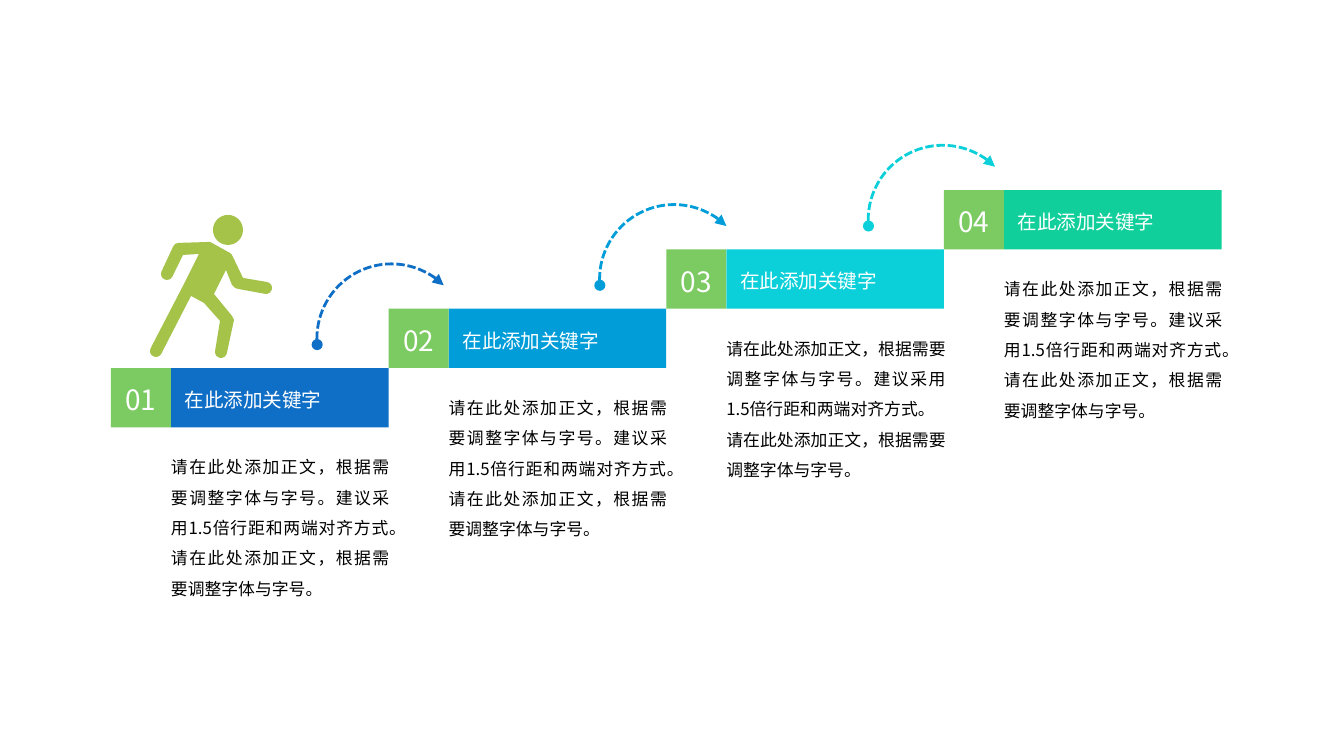
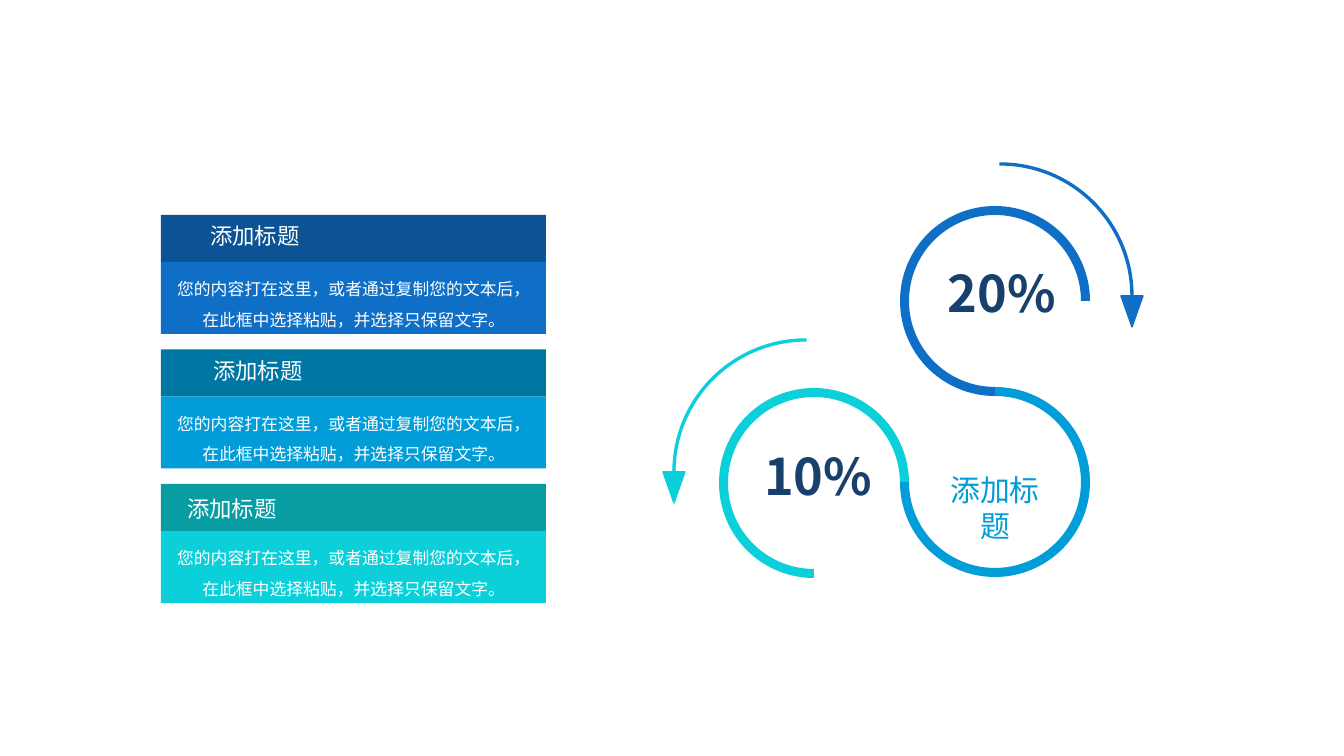
from math import cos, radians, sin, tan

from lxml import etree
from pptx import Presentation
from pptx.dml.color import RGBColor
from pptx.enum.dml import MSO_LINE
from pptx.enum.shapes import MSO_SHAPE
from pptx.enum.text import MSO_AUTO_SIZE, PP_ALIGN
from pptx.oxml.ns import qn
from pptx.util import Emu, Pt

RECT, ARC = MSO_SHAPE.RECTANGLE, MSO_SHAPE.ARC
CENTER, JUSTIFY = PP_ALIGN.CENTER, PP_ALIGN.JUSTIFY
SHORT_DASH = MSO_LINE.SQUARE_DOT
GROW = MSO_AUTO_SIZE.SHAPE_TO_FIT_TEXT

WHITE = RGBColor(0xFF, 0xFF, 0xFF)
BLACK = RGBColor(0x00, 0x00, 0x00)
BLUE = RGBColor(0x0F, 0x6F, 0xC6)
SKY = RGBColor(0x00, 0x9D, 0xD9)
CYAN = RGBColor(0x0B, 0xD0, 0xD9)
TEAL = RGBColor(0x10, 0xCF, 0x9B)
GREEN = RGBColor(0x7C, 0xCA, 0x62)
OLIVE = RGBColor(0xA5, 0xC2, 0x49)
DARK_BLUE = RGBColor(0x0B, 0x53, 0x94)
DARK_SKY = RGBColor(0x00, 0x76, 0xA3)
DARK_CYAN = RGBColor(0x08, 0x9C, 0xA3)
NAVY = RGBColor(0x17, 0x40, 0x6D)

FONT = "Noto Sans CJK SC"
PX_PER_INCH = 134.4
PAGE_W, PAGE_H = 1344, 756

STEP_TITLE = "在此添加关键字"
STEP_TEXT = [
    "请在此处添加正文，根据需要调整字体与字号。建议采用1.5倍行距和两端对齐方式。",
    "请在此处添加正文，根据需要调整字体与字号。",
]
CARD_TITLE = "添加标题"
CARD_TEXT = "您的内容打在这里，或者通过复制您的文本后，在此框中选择粘贴，并选择只保留文字。"

# Bar colour, text width, and where the hop to the next step starts
STEPS = [(BLUE, 218, 206), (SKY, 218, 211), (CYAN, 219, 202), (TEAL, 218, None)]
STEP_W, STEP_H = 833 / 3, 178 / 3  # three steps run 833 px and rise 178 px
BADGE_W = 60

# Header colour, body colour, and title offset inside the card
CARDS = [
    (DARK_BLUE, BLUE, (49, 7)),
    (DARK_SKY, SKY, (52, 8)),
    (DARK_CYAN, CYAN, (26, 11)),
]
CARD_W, HEADER_H, BODY_H, CARD_PITCH = 385, 47, 72, 134.5


def px(length):
    return Emu(round(length * 914400 / PX_PER_INCH))


def arc(cx, cy, radius, start, end, pieces):
    """A start point, then cubic curves; degrees clockwise from the right."""
    step = radians(end - start) / pieces
    pull = 4 / 3 * tan(step / 4)

    def at(angle, lean):
        return (cx + radius * (cos(angle) - lean * sin(angle)),
                cy + radius * (sin(angle) + lean * cos(angle)))

    parts = [[at(radians(start), 0)]]
    for i in range(pieces):
        a = radians(start) + i * step
        parts.append([at(a, pull), at(a + step, -pull), at(a + step, 0)])
    return parts


def corners(*points):
    return [[point] for point in points]


def paint(shape, fill, line=None):
    shape.shadow.inherit = False
    shape.fill.solid()
    shape.fill.fore_color.rgb = fill
    if line is None:
        shape.line.fill.background()
    else:
        shape.line.color.rgb = line
        shape.line.width = Pt(0.75)


def add_rect(shapes, box, fill):
    paint(shapes.add_shape(RECT, *map(px, box)), fill)


def add_outline(shapes, contours, fill, line=None, left=0, top=0):
    """Each contour is a list of parts: one point, or the three of a curve."""
    builder = None
    for parts in contours:
        points = [(px(left + x), px(top + y)) for part in parts for x, y in part]
        if builder is None:
            builder = shapes.build_freeform(*points[0], scale=1.0)
        else:
            builder.move_to(*points[0])
        builder.add_line_segments(points[1:], close=True)
    shape = builder.convert_to_shape()

    # Merge the line segments of each curve into one cubic segment
    segments = shape._element.iter(qn("a:moveTo"), qn("a:lnTo"))
    segments = iter(list(segments))
    for part in (part for parts in contours for part in parts):
        first = next(segments)
        if len(part) == 3:
            first.tag = qn("a:cubicBezTo")
            for segment in (next(segments), next(segments)):
                first.append(segment[0])
                segment.getparent().remove(segment)
    paint(shape, fill, line)


def add_text(shapes, box, lines, size, color, align=CENTER, inset=(0, 0),
             wrap=True, spacing=None, bold=False):
    frame = shapes.add_textbox(*map(px, box)).text_frame
    frame.word_wrap = wrap
    frame.auto_size = GROW
    frame.margin_left = frame.margin_right = px(inset[0])
    frame.margin_top = frame.margin_bottom = px(inset[1])
    for i, line in enumerate(lines):
        para = frame.add_paragraph() if i else frame.paragraphs[0]
        para.text = line
        para.alignment = align
        if spacing:
            para.line_spacing = spacing
        font = para.font
        font.name, font.size, font.bold = FONT, Pt(size), bold
        font.color.rgb = color
        # East Asian characters take their own typeface entry
        east_asian = etree.SubElement(para._p.pPr.find(qn("a:defRPr")), qn("a:ea"))
        east_asian.set("typeface", FONT)


# Staircase slide

def add_hop(shapes, left, top, color):
    hop = shapes.add_shape(ARC, px(left), px(top), px(149), px(149))
    # Arc angles are stored in 60000ths of a degree, adjustments in 100000ths
    hop.adjustments[0] = 175.2 * 0.6
    hop.adjustments[1] = 314.6 * 0.6
    hop.shadow.inherit = False
    hop.fill.background()
    hop.line.color.rgb = color
    hop.line.width = Pt(1.5)
    hop.line.dash_style = SHORT_DASH
    line = hop._element.spPr.find(qn("a:ln"))
    for end, kind in (("a:headEnd", "oval"), ("a:tailEnd", "triangle")):
        etree.SubElement(line, qn(end)).set("type", kind)


def add_step(page, left, top, number, color, text_w, hop_offset):
    bar_left = left + BADGE_W
    banner = page.shapes.add_group_shape().shapes
    add_rect(banner, (bar_left, top, STEP_W - BADGE_W, STEP_H), color)
    add_rect(banner, (left, top, BADGE_W, STEP_H), GREEN)
    add_text(banner, (left, top + 8, BADGE_W, 47), [f"{number:02}"], 15, WHITE,
             inset=(13, 7), wrap=False)
    add_text(banner, (left + 74, top + 13, 204, 37), [STEP_TITLE], 10.5, WHITE,
             JUSTIFY, inset=(0, 7))
    add_text(page.shapes, (bar_left, top + 72, text_w, 167), STEP_TEXT, 9, BLACK,
             JUSTIFY, inset=(0, 7), spacing=1.5)
    if hop_offset is not None:
        add_hop(page.shapes, left + hop_offset, top - 104, color)


def add_runner(page, left, top):
    def limb_end(cx, cy, start):
        return arc(cx, cy, 6, start, start + 180, 2)

    body = [
        *corners((60, 27), (80, 38), (82, 40), (93, 63)),
        *limb_end(116, 73, -80),  # front hand
        *corners((88, 74), (85, 73), (82, 70), (76, 55), (64, 79), (82, 101), (84, 105)),
        *limb_end(71, 137, 10),  # front foot
        *corners((70, 106), (54, 88), (41, 81)),
        *limb_end(6, 136, 28),  # back foot
        *corners((34, 69), (49, 39), (33, 40)),
        *limb_end(17, 59, 25),  # back hand
        *corners((23, 32), (25, 29), (28, 28)),
    ]
    head = arc(78, 15, 15, 0, 360, 4)
    add_outline(page.shapes, [body, head], OLIVE, left=left, top=top)


def build_staircase(page):
    for i, step in enumerate(STEPS):
        add_step(page, 111 + i * STEP_W, 368 - i * STEP_H, i + 1, *step)
    add_runner(page, 150, 215)


# Rings slide

def add_card(page, left, top, header_color, body_color, title_offset):
    shapes = page.shapes
    body_top = top + HEADER_H
    add_rect(shapes, (left, body_top, CARD_W, BODY_H), body_color)
    add_rect(shapes, (left, top, CARD_W, HEADER_H), header_color)
    add_text(shapes, (left, body_top + 1, CARD_W, 70), [CARD_TEXT], 9, WHITE,
             inset=(12, 6), spacing=1.5)
    add_text(shapes, (left + title_offset[0], top + title_offset[1], 90, 27),
             [CARD_TITLE], 12, WHITE, wrap=False)


def add_ring(page, cx, cy, start, color):
    """Three quarters of a ring, clockwise from the start angle."""
    end = start + 270
    band = arc(cx, cy, 95, start, end, 6) + arc(cx, cy, 86, end, start, 6)
    add_outline(page.shapes, [band], color)


def add_sweep(page, cx, cy, start, tip_side, color):
    """A quarter circle with an arrow pointing down at its left or right end."""
    shapes = page.shapes.add_group_shape().shapes
    end = start + 90
    band = arc(cx, cy, 133, start, end, 1) + arc(cx, cy, 131, end, start, 2)
    tip_x = cx + tip_side * 132
    arrow = corners((tip_x - 11, cy), (tip_x, cy + 31), (tip_x + 11, cy))
    for parts in (band, arrow):
        add_outline(shapes, [parts], color, color)


def add_percent(page, left, top, label):
    add_text(page.shapes, (left, top, 110, 60), [label], 27, NAVY,
             wrap=False, bold=True)


def build_rings(page):
    for i, card in enumerate(CARDS):
        add_card(page, 161, 215 + i * CARD_PITCH, *card)

    # Linked rings: left, lower right and upper right
    add_ring(page, 814, 483, 90, CYAN)
    add_ring(page, 995, 482, 270, SKY)
    add_ring(page, 995, 301, 90, BLUE)
    add_sweep(page, 806, 472, 180, -1, CYAN)
    add_sweep(page, 1000, 296, 270, 1, BLUE)

    # Ring labels
    add_percent(page, 947, 262, "20%")
    add_percent(page, 763, 445, "10%")
    add_text(page.shapes, (924, 467, 142, 85), [CARD_TITLE], 16, SKY, inset=(12, 5))


def main():
    deck = Presentation()
    deck.slide_width, deck.slide_height = px(PAGE_W), px(PAGE_H)
    blank = deck.slide_layouts[6]
    for build in (build_staircase, build_rings):
        build(deck.slides.add_slide(blank))
    deck.save("out.pptx")


if __name__ == "__main__":
    main()
